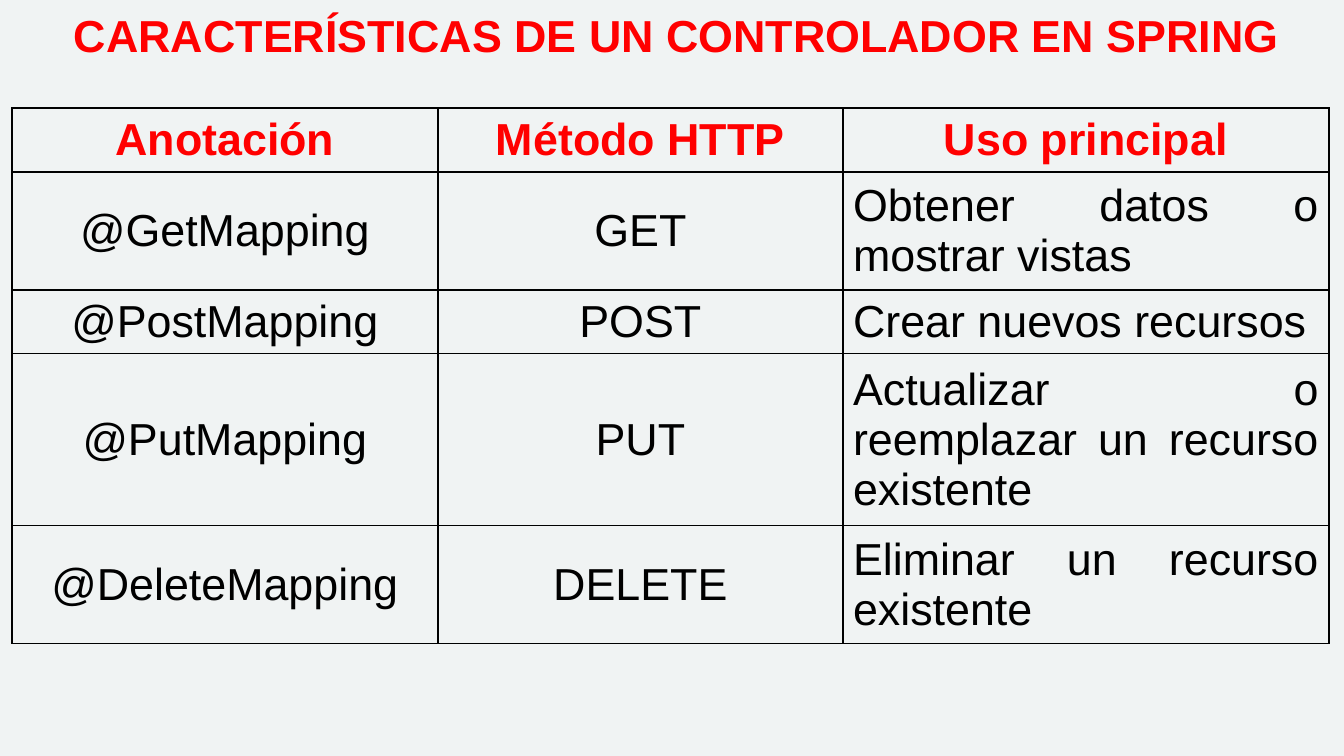
"""Build a slide that tabulates the mapping annotations of a Spring controller."""
from dataclasses import dataclass

from lxml import etree
from pptx import Presentation
from pptx import util as u
from pptx.dml import color
from pptx.enum import text
from pptx.oxml import ns

EMU_PER_PX = 914400 / 100.8
CENTER, JUSTIFY = text.PP_ALIGN.CENTER, text.PP_ALIGN.JUSTIFY


@dataclass(frozen=True)
class Theme:
    background: str = "F0F3F3"
    accent: str = "FF0000"
    ink: str = "000000"
    font: str = "Arial"
    size: int = 32
    border: int = 1


def px(length):
    return u.Emu(round(length * EMU_PER_PX))


def rgb(code):
    return color.RGBColor.from_string(code)


def write(frame, wording, *, theme, ink, bold=False, align=CENTER):
    frame.word_wrap = True
    paragraph = frame.paragraphs[0]
    paragraph.alignment = align
    run = paragraph.add_run()
    run.text = wording
    run.font.name = theme.font
    run.font.size = u.Pt(theme.size)
    run.font.bold = bold
    run.font.color.rgb = rgb(ink)


class Board:
    def __init__(self, slide, theme):
        self.slide, self.theme = slide, theme
        slide.background.fill.solid()
        slide.background.fill.fore_color.rgb = rgb(theme.background)

    def title(self, wording, left, top, width, height):
        box = self.slide.shapes.add_textbox(*map(px, (left, top, width, height)))
        write(box.text_frame, wording, theme=self.theme, ink=self.theme.accent, bold=True)
        box.text_frame.auto_size = text.MSO_AUTO_SIZE.SHAPE_TO_FIT_TEXT

    def outline(self, cell):
        properties = cell._tc.get_or_add_tcPr()
        for side in ("lnL", "lnR", "lnT", "lnB"):
            line = etree.SubElement(properties, ns.qn(f"a:{side}"), w=str(u.Pt(self.theme.border)))
            fill = etree.SubElement(line, ns.qn("a:solidFill"))
            etree.SubElement(fill, ns.qn("a:srgbClr"), val=self.theme.ink)

    def table(self, rows, left, top, widths, heights):
        frame = self.slide.shapes.add_table(
            len(rows), len(widths), *map(px, (left, top, sum(widths), sum(heights))))
        grid = frame.table
        grid.first_row = grid.horz_banding = False
        for column, width in zip(grid.columns, widths):
            column.width = px(width)
        for row, height in zip(grid.rows, heights):
            row.height = px(height)
        for r, row in enumerate(rows):
            for c, wording in enumerate(row):
                cell = grid.cell(r, c)
                heading = r == 0
                self.outline(cell)
                cell.fill.background()
                cell.vertical_anchor = text.MSO_ANCHOR.MIDDLE
                write(cell.text_frame, wording, theme=self.theme, bold=heading,
                      ink=self.theme.accent if heading else self.theme.ink,
                      align=JUSTIFY if c == 2 and not heading else CENTER)


def main():
    deck = Presentation()
    deck.slide_width, deck.slide_height = px(1344), px(756)
    board = Board(deck.slides.add_slide(deck.slide_layouts[6]), Theme())
    board.title("CARACTERÍSTICAS DE UN CONTROLADOR EN SPRING", 37, 3, 1280, 64)
    mappings = [
        ("Anotación", "Método HTTP", "Uso principal"),
        ("@GetMapping", "GET", "Obtener datos o mostrar vistas"),
        ("@PostMapping", "POST", "Crear nuevos recursos"),
        ("@PutMapping", "PUT", "Actualizar o reemplazar un recurso existente"),
        ("@DeleteMapping", "DELETE", "Eliminar un recurso existente"),
    ]
    board.table(mappings, 12, 108, widths=(426, 405, 486), heights=(64, 118, 63, 172, 117))
    deck.save("out.pptx")


if __name__ == "__main__":
    main()
